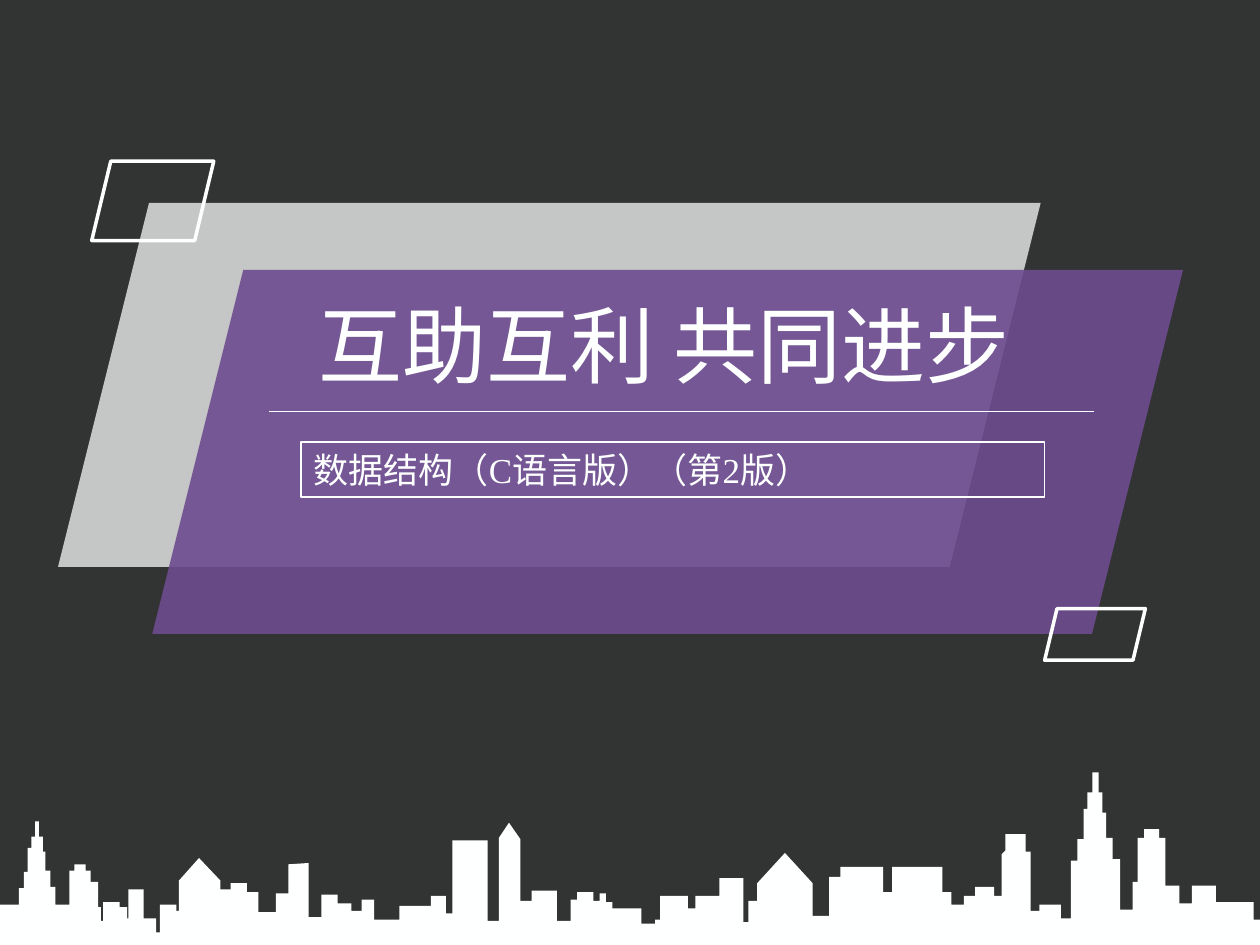
"""Build a closing slide with slanted panels above a city skyline."""
from lxml.etree import SubElement
from pptx import Presentation
from pptx.dml.color import RGBColor
from pptx.enum.shapes import MSO_CONNECTOR as Link, MSO_SHAPE as Shape
from pptx.enum.text import MSO_ANCHOR as Anchor, MSO_AUTO_SIZE as Fit, PP_ALIGN as Align
from pptx.oxml.ns import qn
from pptx.util import Cm, Pt

WHITE = RGBColor(0xFE, 0xFF, 0xFF)
PURPLE = RGBColor(0x6C, 0x4C, 0x8F)
BLACK = RGBColor(0, 0, 0)
FONT = "Times New Roman"

deck = Presentation()
deck.slide_width, deck.slide_height = Cm(25.4), Cm(19.05)
slide = deck.slides.add_slide(deck.slide_layouts[6])
slide.background.fill.solid()
slide.background.fill.fore_color.rgb = BLACK
shapes = slide.shapes


def add_shape(kind, box, fill=None, alpha=100, line=0):
    shape = shapes.add_shape(kind, *map(Cm, box))
    shape.shadow.inherit = False
    if fill is None:
        shape.fill.background()
    else:
        shape.fill.solid()
        shape.fill.fore_color.rgb = fill
        color = shape.fill._xPr.find(qn("a:solidFill"))[0]
        SubElement(color, qn("a:alpha")).set("val", str(alpha * 1000))
    if line:
        shape.line.color.rgb = WHITE
        shape.line.width = Pt(line)
    else:
        shape.line.fill.background()
    return shape


def add_text(shape, text, size, align):
    frame = shape.text_frame
    frame.word_wrap = True
    frame.auto_size = Fit.SHAPE_TO_FIT_TEXT
    frame.vertical_anchor = Anchor.TOP
    para = frame.paragraphs[0]
    para.alignment = align
    run = para.add_run()
    run.text = text
    run.font.name = FONT
    run.font.size = Pt(size)
    run.font.color.rgb = WHITE


add_shape(Shape.RECTANGLE, (0, -0.18, 25.4, 19.23), WHITE, 20)
add_shape(Shape.PARALLELOGRAM, (1.17, 4.09, 19.81, 7.34), WHITE, 72)
add_shape(Shape.PARALLELOGRAM, (3.07, 5.44, 20.78, 7.34), PURPLE, 90)

title = shapes.add_textbox(Cm(6.17), Cm(5.79), Cm(16.2), Cm(2.31))
add_text(title, "互助互利 共同进步", 48, Align.JUSTIFY)

rule = shapes.add_connector(Link.STRAIGHT, Cm(5.43), Cm(8.3), Cm(22.05), Cm(8.3))
rule.line.color.rgb = WHITE
rule.line.width = Pt(0.75)
SubElement(rule._element.spPr, qn("a:effectLst"))

book = add_shape(Shape.RECTANGLE, (6.07, 8.91, 14.99, 1.11), line=1)
add_text(book, "数据结构（C语言版）（第2版）", 20, Align.LEFT)

for box in ((1.85, 3.25, 2.46, 1.6), (21.06, 12.27, 2.03, 1.04)):
    frame = add_shape(Shape.PARALLELOGRAM, box, line=2)
    frame.adjustments[0] = 0.24

# fmt: off
ROOFS = [
    (15, 718), (19, 705), (22, 692), (25, 673), (28, 664), (31, 652), (34, 664),
    (36, 676), (40, 691), (44, 704), (55, 718), (59, 691), (68, 686), (72, 691),
    (78, 700), (80, 720), (82, 731), (95, 716), (101, 720), (102, 729), (114, 706),
    (124, 729), (127, 740), (140, 718), (142, 723), (158, 699, 681), (175, 681, 699),
    (183, 706), (196, 701), (205, 708), (219, 724), (229, 709), (245, 686, 685),
    (255, 728), (268, 710), (279, 717), (287, 723), (297, 714), (317, 730),
    (342, 719), (354, 711), (359, 725), (387, 667), (396, 731), (404, 665, 653),
    (413, 653, 666), (422, 715), (442, 707), (453, 731), (458, 714), (471, 708),
    (476, 715), (481, 709), (486, 716), (509, 721), (520, 733), (524, 730),
    (546, 711), (552, 721), (571, 711), (590, 697), (594, 732), (601, 715),
    (623, 701, 677), (645, 677, 701), (658, 727), (667, 696), (701, 688),
    (708, 708), (748, 688), (755, 708), (765, 718), (774, 711), (789, 704),
    (795, 711), (798, 678, 675), (814, 662), (818, 676), (825, 723), (842, 718),
    (850, 729), (855, 683), (860, 666), (863, 642), (867, 629), (872, 613),
    (875, 629), (878, 645), (883, 665), (889, 682), (899, 722), (903, 700),
    (908, 665), (920, 658), (925, 665), (936, 703), (946, 717), (965, 703),
    (995, 716), (1000, 730),
]
# fmt: on
points, left = [], 0
for right, top, *end in ROOFS:
    points += [(left, top), (right, end[0] if end else top)]
    left = right
path = shapes.build_freeform(0, 750, scale=Cm(0.0254))
path.add_line_segments(points + [(left, 750)], close=True)
city = path.convert_to_shape()
city.shadow.inherit = False
city.fill.solid()
city.fill.fore_color.rgb = WHITE
city.line.fill.background()

deck.save("out.pptx")
